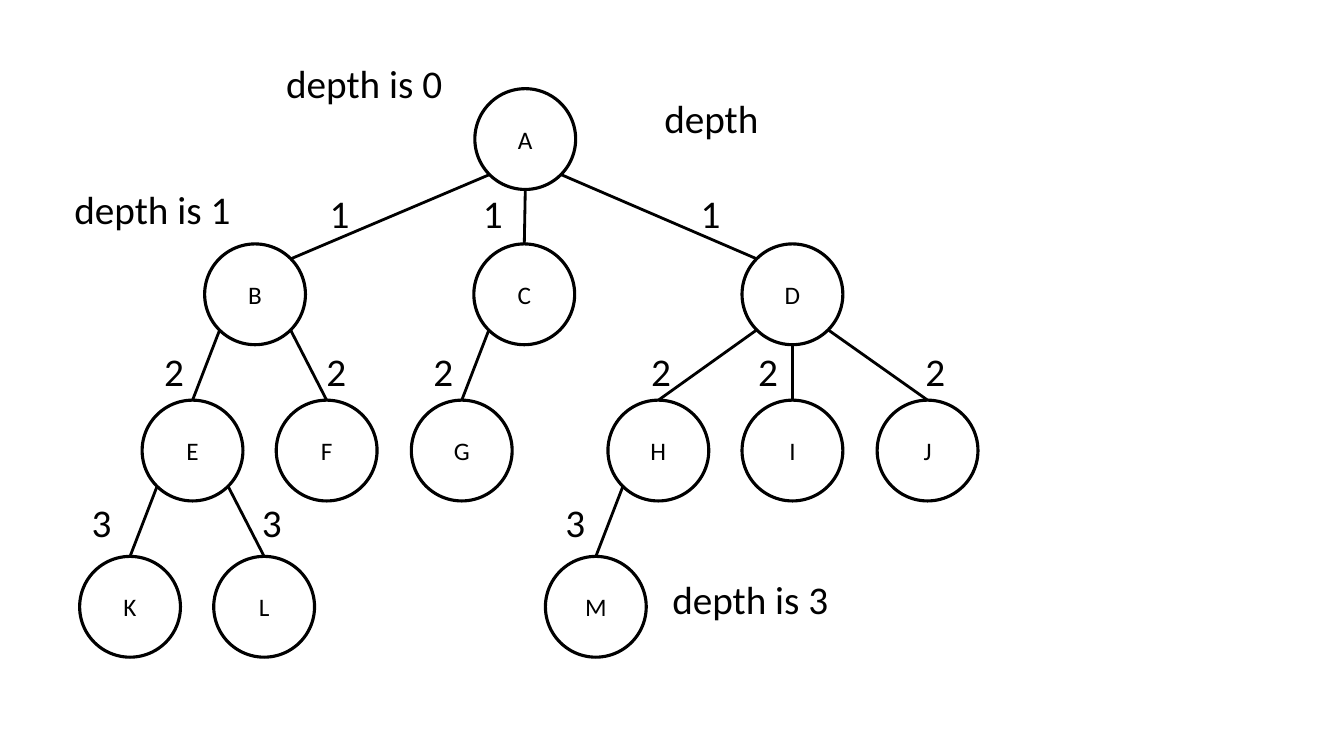
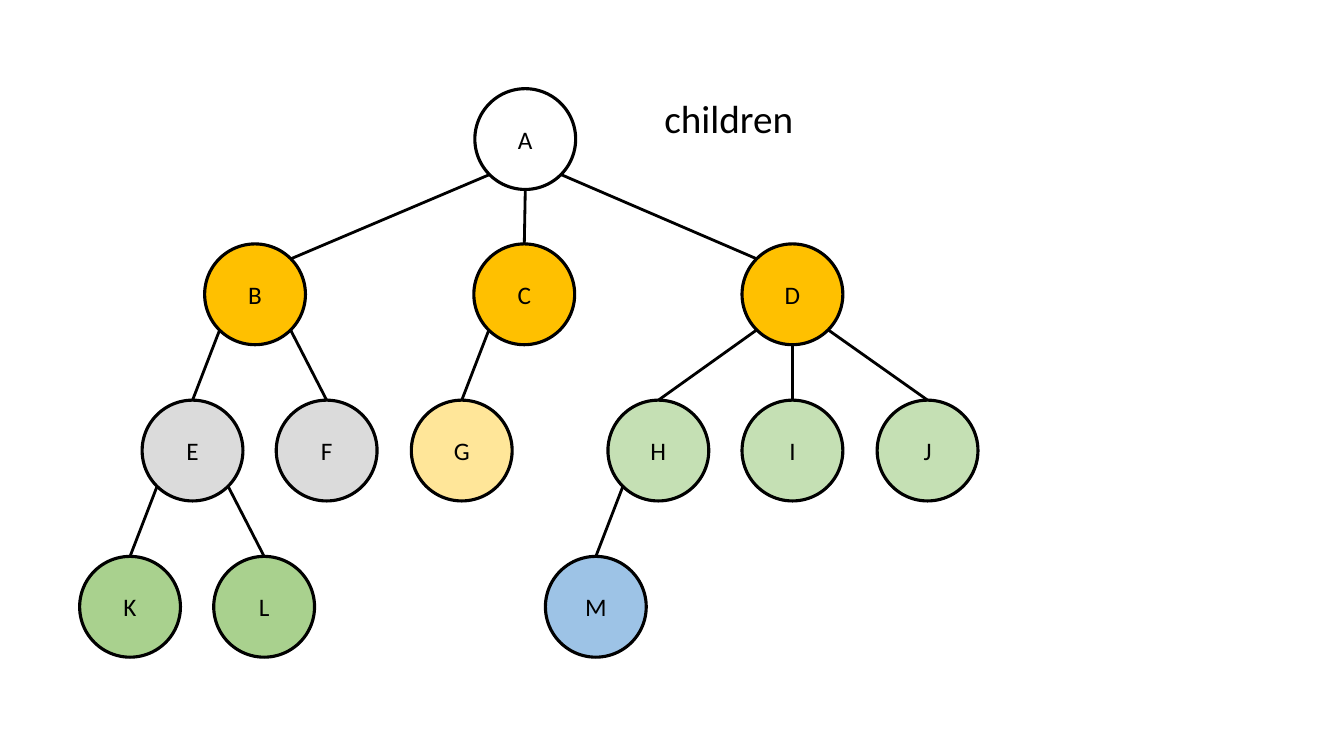
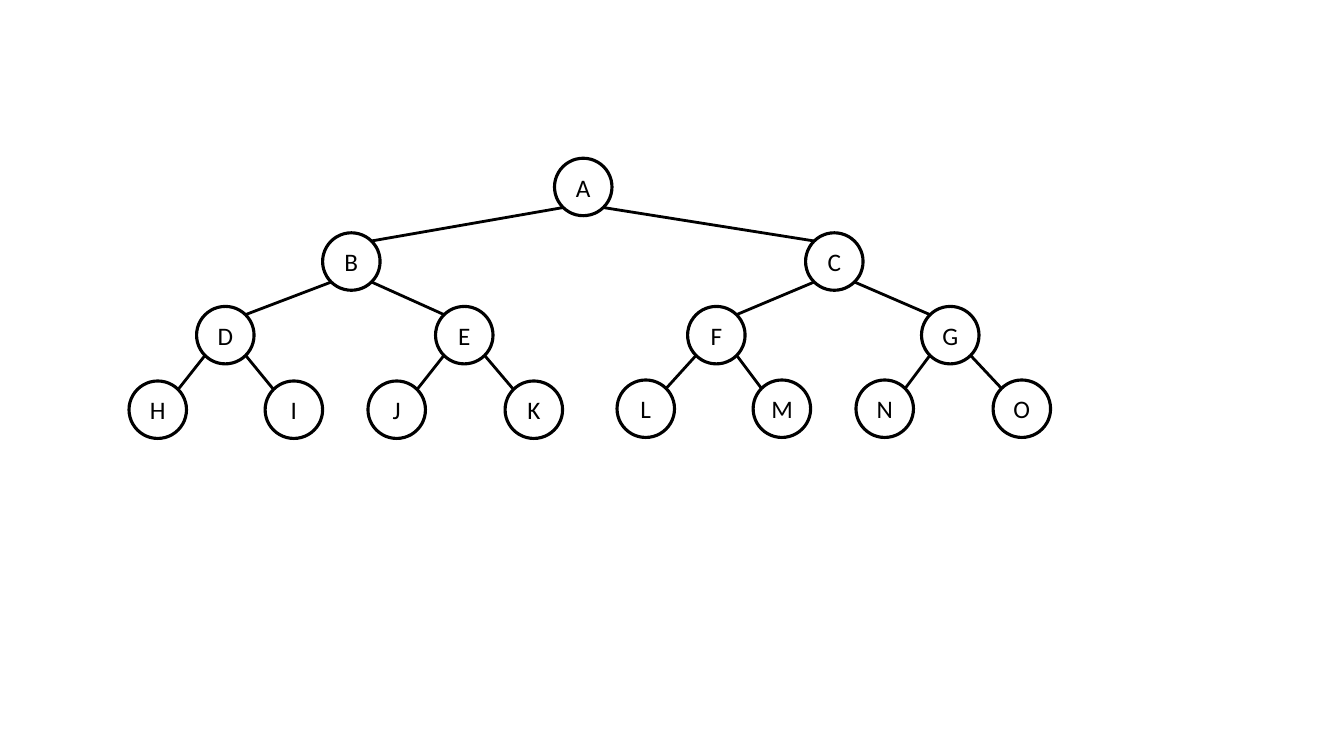
import math

import pptx
import pptx.dml.color
import pptx.enum.shapes
import pptx.enum.text
import pptx.oxml.ns
import pptx.util
from lxml import etree

EMU_PER_PX = 9144
BLANK_LAYOUT = 6


def px(length):
    return pptx.util.Emu(length * EMU_PER_PX)


def color(value):
    return pptx.dml.color.RGBColor.from_string(value)


class TreeDeck:
    font_name = "Calibri"
    ink = "000000"
    paper = "FFFFFF"
    node_size = 18
    label_size = 28
    outline_width = 2.25
    edge_width = 2
    label_height = 57

    def __init__(self):
        self.deck = pptx.Presentation()
        self.deck.slide_width = px(1333)
        self.deck.slide_height = px(750)
        self.page = None

    def new_page(self):
        self.page = self.deck.slides.add_slide(self.deck.slide_layouts[BLANK_LAYOUT])

    def set_text(self, box, text, size):
        para = box.text_frame.paragraphs[0]
        para.text = text
        para.font.name = self.font_name
        para.font.size = pptx.util.Pt(size)
        para.font.color.rgb = color(self.ink)
        return para

    def node(self, name, left, top, diameter, fill):
        circle = self.page.shapes.add_shape(
            pptx.enum.shapes.MSO_SHAPE.OVAL, px(left), px(top), px(diameter), px(diameter))
        circle.shadow.inherit = False
        circle.fill.solid()
        circle.fill.fore_color.rgb = color(fill)
        circle.line.color.rgb = color(self.ink)
        circle.line.width = pptx.util.Pt(self.outline_width)
        circle.text_frame.vertical_anchor = pptx.enum.text.MSO_ANCHOR.MIDDLE
        para = self.set_text(circle, name, self.node_size)
        para.alignment = pptx.enum.text.PP_ALIGN.CENTER

    def edge(self, start, end):
        line = self.page.shapes.add_connector(
            pptx.enum.shapes.MSO_CONNECTOR.STRAIGHT, *map(px, start + end))
        line.line.color.rgb = color(self.ink)
        line.line.width = pptx.util.Pt(self.edge_width)
        properties = line._element.spPr
        etree.SubElement(properties, pptx.oxml.ns.qn("a:effectLst"))

    def label(self, text, left, top, width, wrap=False):
        box = self.page.shapes.add_textbox(px(left), px(top), px(width), px(self.label_height))
        box.text_frame.word_wrap = wrap
        box.text_frame.auto_size = pptx.enum.text.MSO_AUTO_SIZE.SHAPE_TO_FIT_TEXT
        self.set_text(box, text, self.label_size)

    def tree(self, nodes, children, diameter, corner_parents, fills):
        radius = diameter / 2
        corner = radius * math.sqrt(0.5)
        for name, (left, top) in nodes.items():
            self.node(name, left, top, diameter, fills.get(name, self.paper))
        for parent, names in children.items():
            for child in names:
                parent_x, parent_y = (side + radius for side in nodes[parent])
                child_x, child_y = (side + radius for side in nodes[child])
                shift = child_x - parent_x
                sideways = abs(shift) > 5
                reach = math.copysign(corner, shift)
                start = (parent_x, parent_y + radius)
                end = (child_x, child_y - radius)
                if sideways:
                    start = (parent_x + reach, parent_y + corner)
                if sideways and parent in corner_parents:
                    end = (child_x - reach, child_y - corner)
                self.edge(tuple(map(round, start)), tuple(map(round, end)))


GENERAL_NODES = {
    "A": (471, 88),
    "B": (203, 242), "C": (470, 242), "D": (736, 242),
    "E": (141, 397), "F": (274, 397), "G": (408, 397),
    "H": (603, 397), "I": (736, 397), "J": (870, 397),
    "K": (79, 552), "L": (212, 552), "M": (541, 552),
}
GENERAL_CHILDREN = {"A": "BCD", "B": "EF", "C": "G", "D": "HIJ", "E": "KL", "H": "M"}
CHILD_FILLS = {"A": "FFC000", "B": "DBDBDB", "C": "FFE699",
               "D": "C5E0B4", "E": "A9D18E", "H": "9DC3E6"}

BINARY_NODES = {
    "A": (550, 157),
    "B": (320, 231), "C": (799, 231),
    "D": (195, 304), "E": (432, 304), "F": (682, 304), "G": (914, 304),
    "H": (128, 378), "I": (263, 378), "J": (365, 378), "K": (501, 378),
    "L": (612, 377), "M": (747, 377), "N": (849, 377), "O": (985, 377),
}
BINARY_CHILDREN = {"A": "BC", "B": "DE", "C": "FG",
                   "D": "HI", "E": "JK", "F": "LM", "G": "NO"}

EDGE_DEPTHS = {
    "1": (183, (317, 685, 469)),
    "2": (340, (153, 314, 420, 636, 908, 742)),
    "3": (489, (81, 250, 551)),
}
NODE_DEPTHS = {"depth is 0": (274, 54), "depth is 1": (64, 179), "depth is 3": (657, 566)}


def general_tree(talk, title, title_width, fills):
    talk.new_page()
    talk.tree(GENERAL_NODES, GENERAL_CHILDREN, 100, "A", fills)
    talk.label(title, 649, 89, title_width)


def main():
    talk = TreeDeck()

    general_tree(talk, "depth", 115, {})
    for depth, (top, lefts) in EDGE_DEPTHS.items():
        for left in lefts:
            talk.label(depth, left, top, 40, wrap=True)
    for text, (left, top) in NODE_DEPTHS.items():
        talk.label(text, left, top, 177)

    fills = {child: CHILD_FILLS[parent]
             for parent, names in GENERAL_CHILDREN.items() for child in names}
    general_tree(talk, "children", 149, fills)

    talk.new_page()
    talk.tree(BINARY_NODES, BINARY_CHILDREN, 57, BINARY_CHILDREN, {})

    talk.deck.save("out.pptx")


if __name__ == "__main__":
    main()
